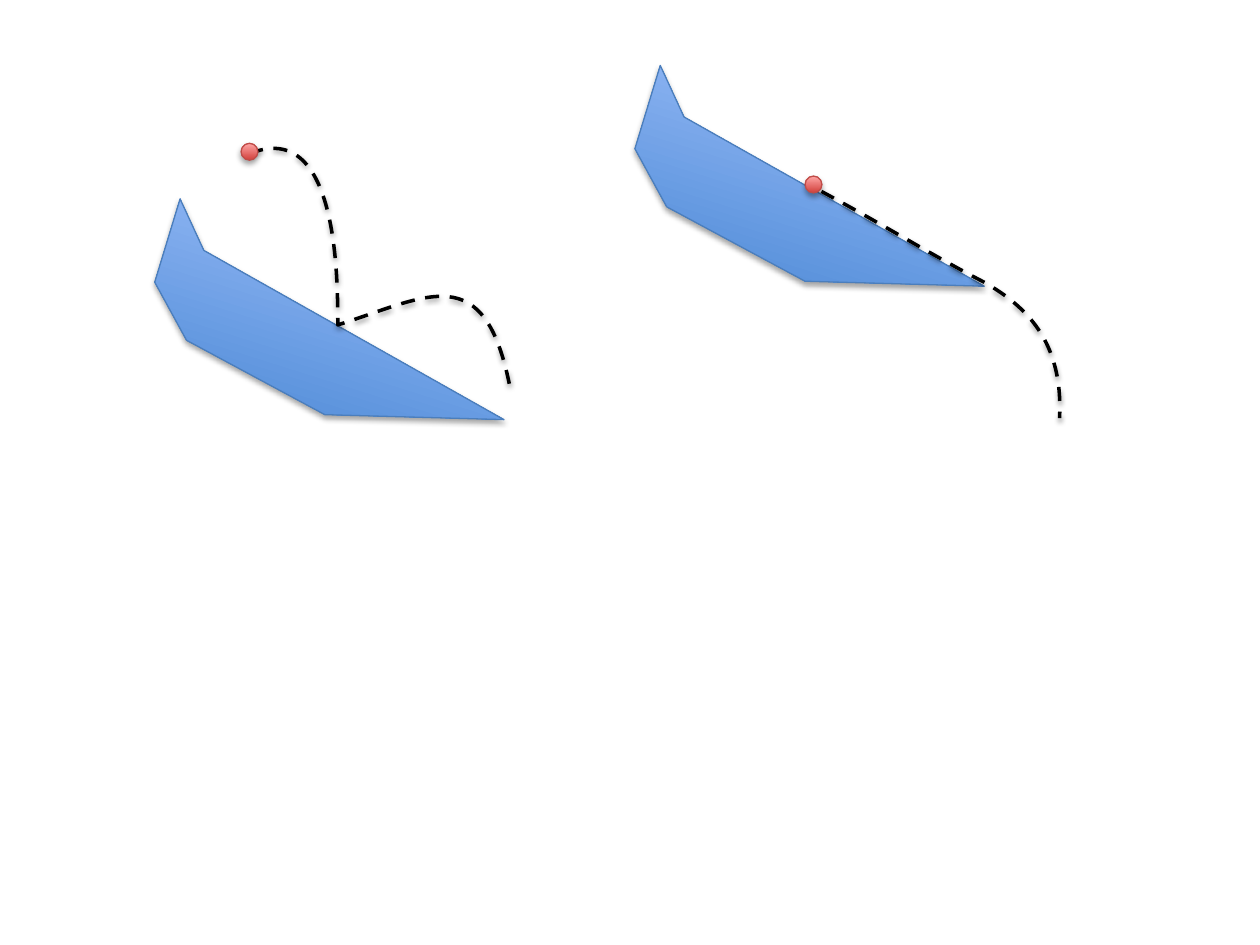
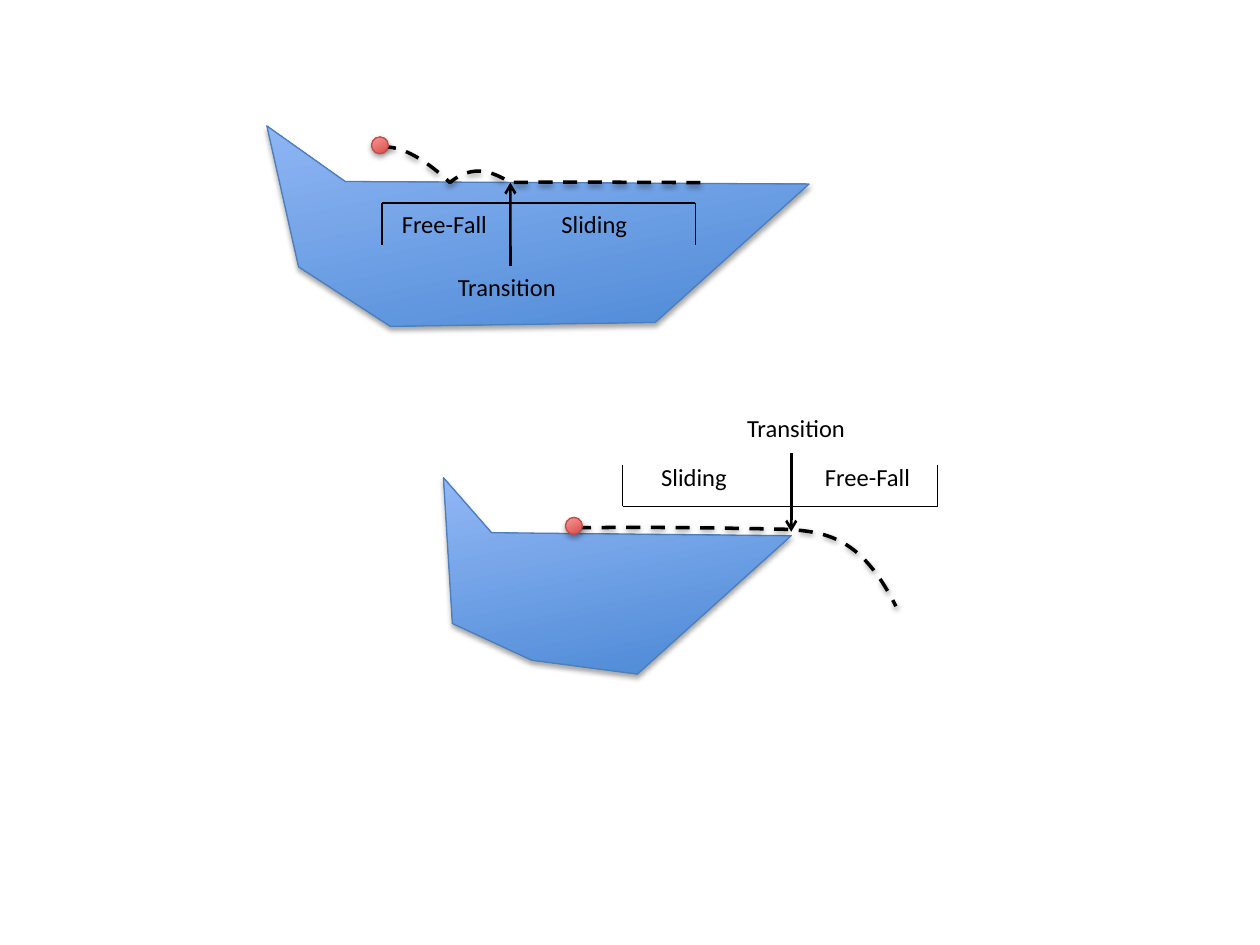
from math import cos, radians, sin

from lxml.etree import SubElement
from pptx import Presentation
from pptx.dml.color import RGBColor
from pptx.enum.dml import MSO_LINE_DASH_STYLE as Dash
from pptx.enum.shapes import MSO_CONNECTOR as Connector, MSO_SHAPE as Shape
from pptx.enum.text import MSO_AUTO_SIZE as AutoSize
from pptx.oxml.ns import qn
from pptx.util import Cm, Pt

COLORS = {
    "ink": "000000",
    "hull_dark": "3F80CE", "hull_light": "A4C4FF", "hull_edge": "4B7EBC",
    "ball_dark": "D1403C", "ball_light": "FFA6A5", "ball_edge": "BF4C48",
}
FONT = "Calibri"
BALL_SIZE = 0.34
LABEL_HEIGHT = 0.86


def rotate(point, degrees):
    """Turn a point clockwise around the slide's top left corner."""
    x, y = point
    c, s = cos(radians(degrees)), sin(radians(degrees))
    return x * c - y * s, x * s + y * c


def sample_bezier(points, steps=40):
    """Points along a chain of cubic curves: one start, then three per curve."""
    samples = [points[0]]
    for i in range(0, len(points) - 1, 3):
        for step in range(1, steps + 1):
            t = step / steps
            weights = ((1 - t) ** 3, 3 * t * (1 - t) ** 2, 3 * t * t * (1 - t), t ** 3)
            samples.append(tuple(sum(w * p[axis] for w, p in zip(weights, points[i:i + 4]))
                                 for axis in (0, 1)))
    return samples


class Sketch:
    """Holds the style and the current slide; lengths are in centimetres."""

    def __init__(self, deck):
        self.deck = deck
        self.page = None

    def new_page(self):
        self.page = self.deck.slides.add_slide(self.deck.slide_layouts[6])

    # Style helpers
    def color(self, name):
        return RGBColor.from_string(COLORS[name])

    def outline(self, shape, name, width):
        shape.line.color.rgb = self.color(name)
        shape.line.width = Pt(width)

    def add_shadow(self, shape, opacity, distance):
        shape.shadow.inherit = False
        effects = shape._element.spPr.find(qn("a:effectLst"))
        shadow = SubElement(effects, qn("a:outerShdw"), blurRad=str(Pt(3.1)),
                            dist=str(Pt(distance)), dir="5400000", rotWithShape="0")
        tint = SubElement(shadow, qn("a:srgbClr"), val=COLORS["ink"])
        SubElement(tint, qn("a:alpha"), val=str(opacity * 1000))

    def paint_solid(self, shape, kind):
        shape.fill.gradient()
        shape.fill.gradient_angle = 90
        for stop, tone in zip(shape.fill.gradient_stops, ("dark", "light")):
            stop.color.rgb = self.color(f"{kind}_{tone}")
        self.outline(shape, f"{kind}_edge", 0.75)
        self.add_shadow(shape, 35, 1.8)

    # Outlines
    def freeform(self, points, rotation, close):
        """Draw the points in a frame that is turned by the rotation."""
        turned = [rotate(point, -rotation) for point in points]
        start, *rest = [(Cm(x), Cm(y)) for x, y in turned]
        builder = self.page.shapes.build_freeform(*start)
        builder.add_line_segments(rest, close=close)
        shape = builder.convert_to_shape()
        origin = shape.left, shape.top
        center = rotate((shape.left + shape.width / 2, shape.top + shape.height / 2), rotation)
        shape.left = round(center[0] - shape.width / 2)
        shape.top = round(center[1] - shape.height / 2)
        shape.rotation = rotation
        return shape, origin

    def hull(self, points, rotation):
        shape, _ = self.freeform(points, rotation, close=True)
        self.paint_solid(shape, "hull")

    def trajectory(self, points, rotation=0):
        shape, (left, top) = self.freeform(sample_bezier(points), rotation, close=False)
        # Replace the sampled segments by true curves
        outline = shape._element.spPr.find(".//" + qn("a:path"))
        for segment in list(outline):
            outline.remove(segment)
        for i, point in enumerate(points):
            if i == 0:
                segment = SubElement(outline, qn("a:moveTo"))
            elif i % 3 == 1:
                segment = SubElement(outline, qn("a:cubicBezTo"))
            x, y = rotate(point, -rotation)
            SubElement(segment, qn("a:pt"), x=str(Cm(x) - left), y=str(Cm(y) - top))
        shape.fill.background()
        self.outline(shape, "ink", 2)
        shape.line.dash_style = Dash.DASH
        self.add_shadow(shape, 38, 1.6)

    def ball(self, x, y, rotation=0):
        shape = self.page.shapes.add_shape(
            Shape.OVAL, Cm(x - BALL_SIZE / 2), Cm(y - BALL_SIZE / 2), Cm(BALL_SIZE), Cm(BALL_SIZE))
        shape.rotation = rotation
        self.paint_solid(shape, "ball")

    # Lines and labels
    def line(self, start, end, width=1):
        line = self.page.shapes.add_connector(
            Connector.STRAIGHT, *(Cm(value) for value in (*start, *end)))
        self.outline(line, "ink", width)
        SubElement(line._element.spPr, qn("a:effectLst"))
        return line

    def arrow(self, start, end):
        arrow = self.line(start, end, 1.5)
        SubElement(arrow._element.spPr.find(qn("a:ln")), qn("a:tailEnd"), type="arrow")
        return arrow

    def bracket(self, left, right, bar, tip):
        for x in (left, right):
            self.line((x, bar), (x, tip))
        self.line((left, bar), (right, bar))

    def label(self, text, left, top, width=2.36):
        box = self.page.shapes.add_textbox(Cm(left), Cm(top), Cm(width), Cm(LABEL_HEIGHT))
        frame = box.text_frame
        frame.word_wrap = True
        frame.auto_size = AutoSize.SHAPE_TO_FIT_TEXT
        span = frame.paragraphs[0].add_run()
        span.text = text
        span.font.name = FONT
        span.font.size = Pt(14)
        span.font.color.rgb = self.color("ink")
        return box


def draw_slopes(sketch):
    sketch.new_page()
    slope = [(3.12, 5.69), (3.63, 4.01), (4.11, 5.05), (10.16, 8.46), (6.55, 8.36), (3.76, 6.86)]

    # Bouncing ball
    sketch.hull(slope, 17.5)
    sketch.trajectory([(5.03, 3.1), (6.81, 2.36), (6.81, 5.59), (6.81, 6.55),
                       (8.64, 5.97), (9.78, 5.18), (10.29, 7.85)])
    sketch.ball(5.03, 3.06)

    # Sliding ball
    sketch.hull([(x + 9.68, y - 2.69) for x, y in slope], 17.5)
    sketch.trajectory([(16.56, 3.86), (17.75, 4.5), (18.85, 5.18), (19.84, 5.69),
                       (20.68, 6.17), (21.44, 6.88), (21.36, 8.43)])
    sketch.ball(16.4, 3.72)


def draw_transitions(sketch):
    sketch.new_page()

    # Free fall, then sliding
    sketch.hull([(6.02, 5.38), (5.38, 2.54), (6.96, 3.66), (16.31, 3.71),
                 (13.21, 6.5), (7.87, 6.58)], 348.4)
    sketch.trajectory([(7.7, 2.97), (8.18, 2.9), (8.81, 3.43), (9.07, 3.68), (9.55, 3.28),
                       (9.96, 3.48), (10.29, 3.68), (11.38, 3.66), (12.83, 3.68),
                       (14.2, 3.68)], 332.1)
    sketch.ball(7.66, 2.93, 332)
    sketch.bracket(7.7, 14.02, bar=4.09, tip=4.93)
    sketch.label("Free-Fall", 7.85, 4.09)
    sketch.label("Sliding", 11.07, 4.09)
    transition = sketch.label("Transition", 8.98, 5.36, 2.62)
    sketch.arrow((10.29, 5.36), (10.29, 3.68)).begin_connect(transition, 0)

    # Sliding, then free fall
    sketch.hull([(9.12, 12.57), (8.94, 9.63), (9.91, 10.74), (15.95, 10.8),
                 (12.85, 13.59), (10.72, 13.31)], 348.4)
    sketch.arrow((15.95, 9.14), (15.95, 10.72))
    sketch.label("Free-Fall", 16.38, 9.19)
    sketch.label("Sliding", 13.08, 9.19)
    sketch.bracket(12.55, 18.9, bar=10.21, tip=9.38)
    sketch.label("Transition", 14.81, 8.2, 2.62)
    sketch.trajectory([(11.63, 10.64), (12.98, 10.62), (14.58, 10.64), (15.85, 10.67),
                       (16.69, 10.72), (17.37, 10.85), (18.06, 12.22)], 330.2)
    sketch.ball(11.57, 10.6, 332)


def main():
    deck = Presentation()
    deck.slide_width, deck.slide_height = Cm(25.4), Cm(19.05)
    sketch = Sketch(deck)
    draw_slopes(sketch)
    draw_transitions(sketch)
    deck.save("out.pptx")


if __name__ == "__main__":
    main()
